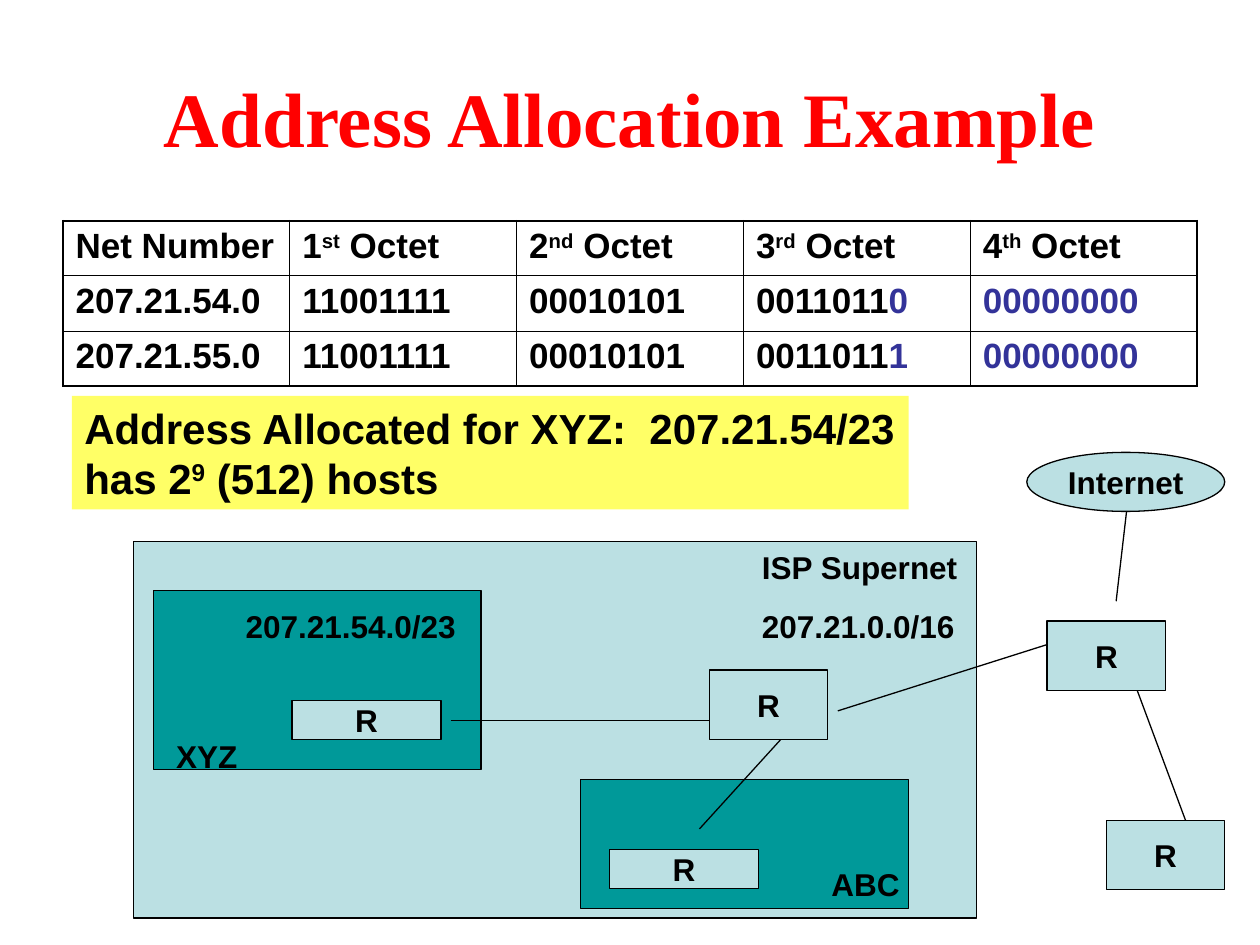
"""Build the address allocation slide with its octet table and network diagram."""
from lxml.etree import SubElement
from pptx import Presentation
from pptx.dml.color import RGBColor
from pptx.enum.shapes import MSO_CONNECTOR, MSO_SHAPE
from pptx.enum.text import MSO_ANCHOR, MSO_AUTO_SIZE, PP_ALIGN
from pptx.oxml import parse_xml
from pptx.oxml.ns import nsdecls, qn
from pptx.util import Cm, Pt

COLORS = {"black": "000000", "red": "FF0000", "blue": "333399",
          "pale": "BBE0E3", "teal": "009999", "yellow": "FFFF66"}
RGB = {name: RGBColor.from_string(code) for name, code in COLORS.items()}
RECT, OVAL = MSO_SHAPE.RECTANGLE, MSO_SHAPE.OVAL


def write(p, text, size):
    """Add bold runs: ^...^ is superscript, and what follows | is blue."""
    plain, _, blue = text.partition("|")
    parts = [(s, "black", i % 2) for i, s in enumerate(plain.split("^"))]
    for part, color, raised in parts + [(blue, "blue", 0)]:
        if not part:
            continue
        r = p.add_run()
        r.text = part
        r.font.name, r.font.size, r.font.bold = "Arial", Pt(size), True
        r.font.color.rgb = RGB[color]
        if raised:
            r.font._element.set("baseline", "30000")


def add_box(kind, at, fill, text=""):
    """Add an outlined, filled shape with centred text."""
    sp = shapes.add_shape(kind, *map(Cm, at))
    sp.shadow.inherit = False
    sp.fill.solid()
    sp.fill.fore_color.rgb = RGB[fill]
    sp.line.color.rgb = RGB["black"]
    sp.line.width = Pt(0.75)
    tf = sp.text_frame
    tf.word_wrap = False
    tf.vertical_anchor = MSO_ANCHOR.MIDDLE
    tf.paragraphs[0].alignment = PP_ALIGN.CENTER
    write(tf.paragraphs[0], text, 18)
    return sp


prs = Presentation()
prs.slide_width, prs.slide_height = Cm(25.4), Cm(19.05)
slide = prs.slides.add_slide(prs.slide_layouts[5])
shapes = slide.shapes

title = shapes.title
title.left, title.top, title.width, title.height = map(Cm, (1.27, 0.76, 22.86, 3.18))
title.text_frame.text = "Address Allocation Example"
title.text_frame.vertical_anchor = MSO_ANCHOR.MIDDLE
p = title.text_frame.paragraphs[0]
p.alignment = PP_ALIGN.CENTER
font = p.runs[0].font
font.name, font.size, font.bold = "Times New Roman", Pt(44), True
font.color.rgb = RGB["red"]

add_box(RECT, (2.69, 10.92, 16.99, 7.59), "pale")
add_box(RECT, (11.71, 15.72, 6.6, 2.59), "teal")
add_box(RECT, (3.1, 11.91, 6.6, 3.61), "teal")

rows = [
    ["Net Number", "1^st^ Octet", "2^nd^ Octet", "3^rd^ Octet", "4^th^ Octet"],
    ["207.21.54.0", "11001111", "00010101", "0011011|0", "|00000000"],
    ["207.21.55.0", "11001111", "00010101", "0011011|1", "|00000000"],
]
last_row, last_col = len(rows) - 1, len(rows[0]) - 1
table = shapes.add_table(len(rows), len(rows[0]), Cm(1.27), Cm(4.45), Cm(22.86), Cm(3.33)).table
table.first_row = table.horz_banding = False
for i, row in enumerate(rows):
    table.rows[i].height = Cm(1.11)
    for j, text in enumerate(row):
        cell = table.cell(i, j)
        write(cell.text_frame.paragraphs[0], text, 20)
        edges = {"L": j == 0, "R": j == last_col, "T": i == 0, "B": i == last_row}
        for side, outer in edges.items():
            width = Pt(1.08 if outer else 0.45)
            cell._tc.get_or_add_tcPr().append(parse_xml(
                f'<a:ln{side} {nsdecls("a")} w="{width}"><a:solidFill>'
                f'<a:srgbClr val="{COLORS["black"]}"/></a:solidFill></a:ln{side}>'))
        cell.fill.background()

callout = add_box(RECT, (1.45, 7.98, 16.87, 2.29), "yellow")
callout.line.fill.background()
tf = callout.text_frame
tf.vertical_anchor = MSO_ANCHOR.TOP
tf.add_paragraph()
for p, text in zip(tf.paragraphs, ["Address Allocated for XYZ:  207.21.54/23",
                                   "has 2^9^ (512) hosts"]):
    p.alignment = PP_ALIGN.LEFT
    write(p, text, 24)

labels = [
    ("207.21.54.0/23", 4.7, 12.12, 4.8),
    ("207.21.0.0/16", 15.11, 12.12, 4.45),
    ("ISP Supernet", 15.11, 10.92, 4.5),
    ("XYZ", 3.3, 14.73, 1.8),
    ("ABC", 16.51, 17.32, 1.95),
]
for text, left, top, width in labels:
    tf = shapes.add_textbox(Cm(left), Cm(top), Cm(width), Cm(1.02)).text_frame
    tf.word_wrap = False
    tf.auto_size = MSO_AUTO_SIZE.SHAPE_TO_FIT_TEXT
    write(tf.paragraphs[0], text, 18)

links = [
    (9.09, 14.53, 14.5, 14.53),
    (16.89, 14.33, 21.31, 12.93),
    (22.71, 10.31, 22.5, 12.12),
    (14.1, 16.71, 15.9, 14.73),
    (22.71, 13.34, 23.9, 16.54),
]
for ends in links:
    link = shapes.add_connector(MSO_CONNECTOR.STRAIGHT, *map(Cm, ends))
    link.line.color.rgb = RGB["black"]
    link.line.width = Pt(0.75)
    SubElement(link._element.spPr, qn("a:effectLst"))

add_box(OVAL, (20.7, 9.12, 3.99, 1.19), "pale", "Internet")
for left, top in [(5.89, 14.12), (12.29, 17.12)]:
    add_box(RECT, (left, top, 3, 0.79), "pale", "R")
for left, top in [(21.11, 12.52), (22.3, 16.54), (14.3, 13.51)]:
    add_box(RECT, (left, top, 2.39, 1.4), "pale", "R")

prs.save("out.pptx")
